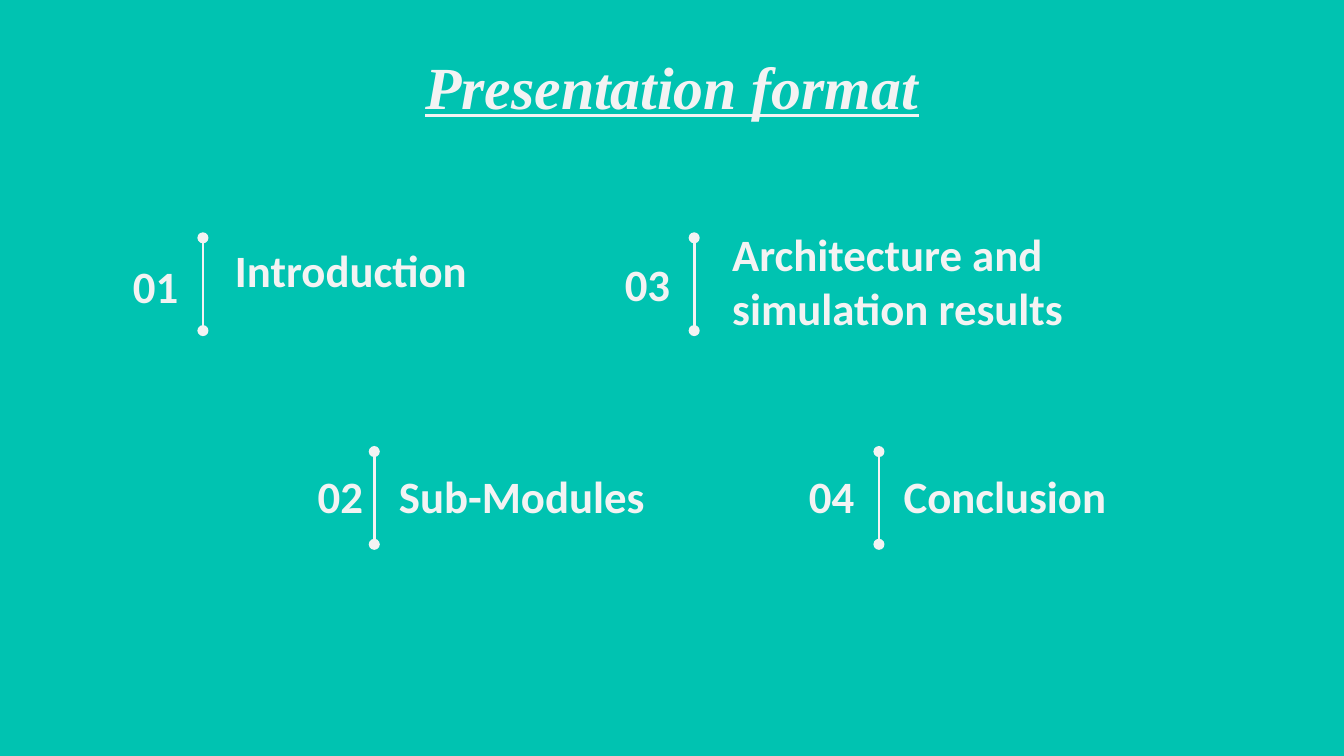
from lxml.etree import SubElement
from pptx import Presentation
from pptx.dml.color import RGBColor
from pptx.enum.shapes import MSO_CONNECTOR as Connector
from pptx.enum.text import MSO_ANCHOR as Anchor, PP_ALIGN as Align
from pptx.oxml.ns import qn
from pptx.util import Pt

PX = 4572  # EMU per px, 200 px to the inch
COLORS = {"background": "00C3B1", "text": "F3F3F3"}
ITEM_FONT = {"name": "Calibri", "size": Pt(24), "bold": True}
TITLE_FONT = {"name": "Times New Roman", "size": Pt(32), "bold": True,
              "italic": True, "underline": True}


class AgendaSlide:
    def __init__(self, presentation):
        self.slide = presentation.slides.add_slide(presentation.slide_layouts[6])
        fill = self.slide.background.fill
        fill.solid()
        fill.fore_color.rgb = self.color("background")

    def color(self, name):
        return RGBColor.from_string(COLORS[name])

    def text(self, words, box, font, align=Align.LEFT):
        shape = self.slide.shapes.add_textbox(*(value * PX for value in box))
        frame = shape.text_frame
        frame_format = {"word_wrap": True, "vertical_anchor": Anchor.MIDDLE}
        for side in ("left", "top", "right", "bottom"):
            frame_format[f"margin_{side}"] = 20 * PX
        for name, value in frame_format.items():
            setattr(frame, name, value)
        paragraph = frame.paragraphs[0]
        paragraph.alignment = align
        run = paragraph.add_run()
        run.text = words
        for name, value in font.items():
            setattr(run.font, name, value)
        run.font.color.rgb = self.color("text")

    def divider(self, x, top, height=138):
        connector = self.slide.shapes.add_connector(
            Connector.STRAIGHT, x * PX, top * PX, x * PX, (top + height) * PX)
        connector.line.width = Pt(1.5)
        connector.line.color.rgb = self.color("text")
        # Round dots on both ends, no shadow
        line = connector.line._get_or_add_ln()
        for end in ("a:headEnd", "a:tailEnd"):
            SubElement(line, qn(end), type="oval")
        SubElement(connector._element.spPr, qn("a:effectLst"))


def main():
    presentation = Presentation()
    presentation.slide_width = 2000 * PX
    presentation.slide_height = 1125 * PX
    agenda = AgendaSlide(presentation)

    # Heading
    agenda.text("Presentation format", (613, 81, 842, 92), TITLE_FONT)

    # Agenda items: number, its left and top, divider x and top, label, its box
    items = [
        ("01", 153, 379, 302, 354, "Introduction", (330, 355, 512, 92)),
        ("02", 428, 692, 557, 672, "Sub-Modules", (574, 692, 512, 92)),
        ("03", 885, 376, 1033, 354, "Architecture and simulation results",
         (1070, 354, 614, 128)),
        ("04", 1159, 692, 1308, 672, "Conclusion", (1325, 692, 512, 92)),
    ]
    for number, left, top, line_x, line_top, label, label_box in items:
        agenda.text(number, (left, top, 132, 92), ITEM_FONT, Align.RIGHT)
        agenda.divider(line_x, line_top)
        agenda.text(label, label_box, ITEM_FONT)

    presentation.save("out.pptx")


if __name__ == "__main__":
    main()
